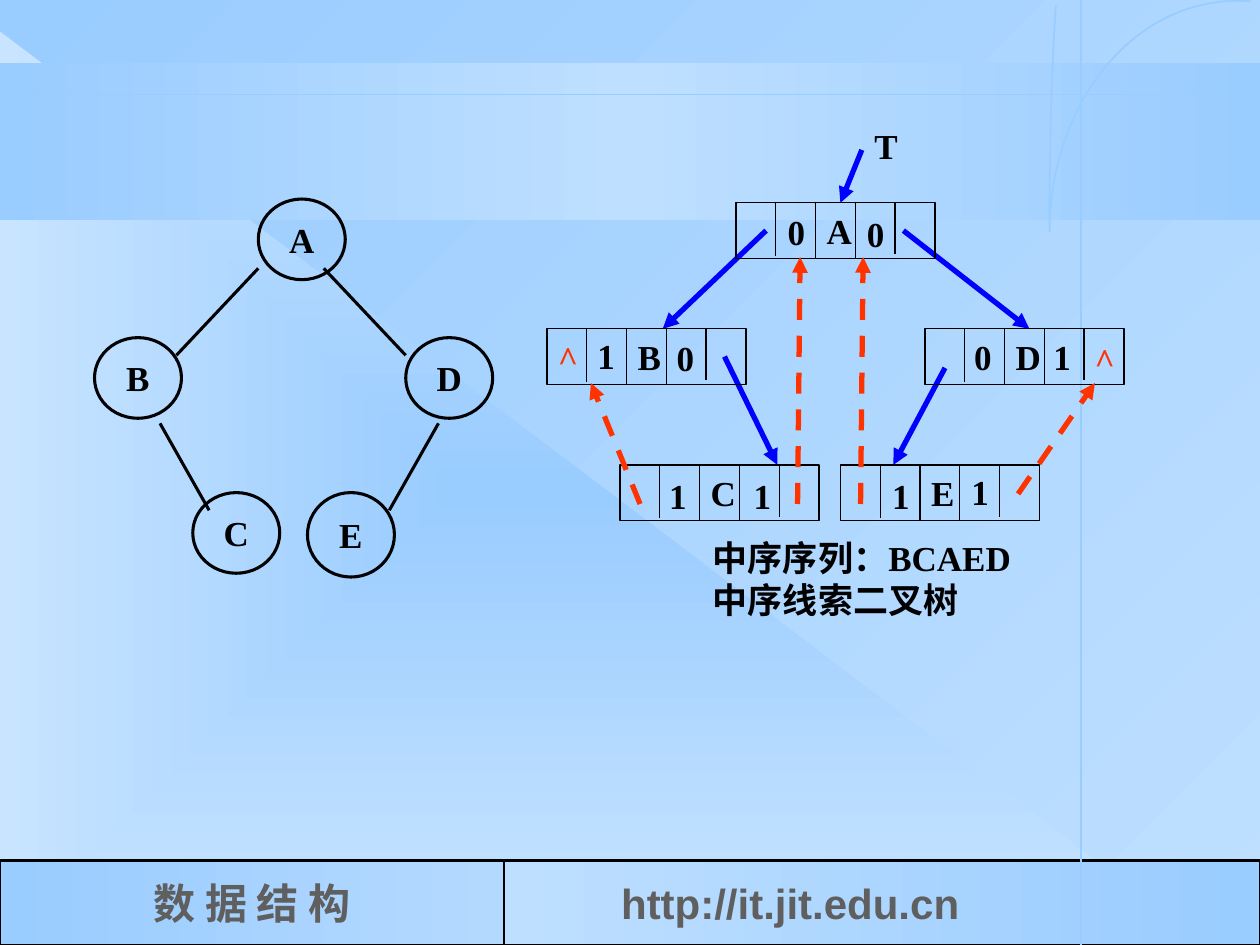
from collections import namedtuple

from lxml.etree import SubElement
from pptx import Presentation
from pptx.dml.color import RGBColor
from pptx.enum.dml import MSO_LINE
from pptx.enum.shapes import MSO_CONNECTOR, MSO_SHAPE
from pptx.enum.text import MSO_ANCHOR, PP_ALIGN
from pptx.oxml.ns import qn
from pptx.util import Inches, Pt

SKY = RGBColor(0x99, 0xCC, 0xFF)
PALE = RGBColor(0xBE, 0xDF, 0xFF)
LIGHT = RGBColor(0xB4, 0xD9, 0xFF)
ICE = RGBColor(0xC8, 0xE4, 0xFF)
BLACK = RGBColor(0, 0, 0)
GRAY = RGBColor(0x5F, 0x5F, 0x5F)
BLUE = RGBColor(0, 0, 0xFF)
RED = RGBColor(0xFF, 0x33, 0)

Box = namedtuple("Box", "left top width height")
Node = namedtuple("Node", "letter left top flags")
SERIF = {"name": "Times New Roman", "size": Pt(20), "bold": True}
FOOTER = {"size": Pt(24)}


def fill_gradient(fill, holder, colors, angle=None):
    """Fill with evenly spaced colours, along an angle or outwards from the centre."""
    fill.solid()
    solid = holder.find(qn("a:solidFill"))
    gradient = holder.makeelement(qn("a:gradFill"), {"rotWithShape": "1"})
    stops = SubElement(gradient, qn("a:gsLst"))
    for index, color in enumerate(colors):
        position = str(100000 * index // (len(colors) - 1))
        stop = SubElement(stops, qn("a:gs"), pos=position)
        SubElement(stop, qn("a:srgbClr"), val=str(color))
    if angle is None:
        shade = SubElement(gradient, qn("a:path"), path="rect")
        SubElement(shade, qn("a:fillToRect"), dict.fromkeys("ltrb", "50000"))
    else:
        SubElement(gradient, qn("a:lin"), ang=str(angle * 60000), scaled="1")
    holder.replace(solid, gradient)


def write_text(shape, lines, color=BLACK, align=PP_ALIGN.CENTER,
               anchor=MSO_ANCHOR.MIDDLE, indent=0.1, **changes):
    """Write formatted lines into a shape."""
    frame = shape.text_frame
    settings = {"word_wrap": False, "vertical_anchor": anchor, "margin_left": Inches(indent)}
    for name, value in settings.items():
        setattr(frame, name, value)
    frame.text = "\n".join(lines)
    for para in frame.paragraphs:
        para.alignment = align
        for span in para.runs:
            for name, value in {**SERIF, **changes}.items():
                setattr(span.font, name, value)
            span.font.color.rgb = color


def add_outline(shapes, kind, box, weight=None):
    """Add an unfilled preset shape with an optional black line."""
    shape = shapes.add_shape(kind, *map(Inches, box))
    shape.shadow.inherit = False
    shape.fill.background()
    if weight:
        shape.line.color.rgb = BLACK
        shape.line.width = Pt(weight)
    else:
        shape.line.fill.background()
    return shape


def add_line(shapes, box, ends, color=BLACK, weight=0.75, arrow=False, dash=None):
    """Draw a straight line between two points relative to the box."""
    x1, y1, x2, y2 = ends
    points = (box.left + x1, box.top + y1, box.left + x2, box.top + y2)
    line = shapes.add_connector(MSO_CONNECTOR.STRAIGHT, *map(Inches, points))
    line.line.color.rgb = color
    line.line.width = Pt(weight)
    if dash:
        line.line.dash_style = dash
    if arrow:
        SubElement(line.line._get_or_add_ln(), qn("a:tailEnd"), type="triangle")
    SubElement(line._element.spPr, qn("a:effectLst"))


def add_label(shapes, box, lines, **options):
    """Add a text box."""
    label = shapes.add_textbox(*map(Inches, box))
    write_text(label, lines, **options)


def trace_curve(points, stop=1, steps=24):
    """Return points along a cubic curve, up to a share of its length."""
    def locate(t):
        weights = ((1 - t) ** 3, 3 * t * (1 - t) ** 2, 3 * t * t * (1 - t), t ** 3)
        return tuple(sum(w * p[axis] for w, p in zip(weights, points)) for axis in (0, 1))
    return [locate(stop * step / steps) for step in range(steps + 1)]


def draw_backdrop(page, box):
    """Draw the shaded background, band and guide lines."""
    background = page.background.fill
    background.solid()
    fill_gradient(background, page._element.find(".//" + qn("p:bgPr")), (SKY, PALE), 45)
    panels = (
        (MSO_SHAPE.RIGHT_TRIANGLE, Box(box.left, box.top + 0.25, 9.58, 7.25), (SKY, ICE), None),
        (MSO_SHAPE.RECTANGLE, Box(box.left, box.top + 0.5, box.width, 1.25), (SKY, PALE, SKY), 0),
    )
    for kind, area, colors, angle in panels:
        shape = add_outline(page.shapes, kind, area)
        fill_gradient(shape.fill, shape._element.spPr, colors, angle)
    draw_footer(page, Box(box.left, box.top + 6.83, box.width, 0.67))
    add_line(page.shapes, box, (0, 0.75, box.width, 0.75), SKY, 1)
    add_line(page.shapes, box, (8.58, 0, 8.58, box.height), SKY, 1.5)
    arc = trace_curve(((9.93, 0.01), (9.01, -0.06), (8.33, 0.82), (8.33, 1.84)))
    rise = trace_curve(((8.33, 1.84), (8.33, -2.71), (9.01, -1.89), (9.84, -1.89)), 0.16)
    points = [(Inches(box.left + x), Inches(box.top + max(y, 0))) for x, y in arc + rise]
    builder = page.shapes.build_freeform(*points[0])
    builder.add_line_segments(points[1:], close=False)
    sweep = builder.convert_to_shape()
    sweep.shadow.inherit = False
    sweep.fill.background()
    sweep.line.color.rgb = SKY
    sweep.line.width = Pt(1)


def draw_footer(page, box):
    """Draw the two footer panels."""
    split = 4
    panels = (
        (0, split, (SKY, LIGHT), "数 据 结 构", {}),
        (split, box.width - split, (PALE, SKY), "http://it.jit.edu.cn",
         {"name": "Arial", "align": PP_ALIGN.LEFT, "indent": 0.93}),
    )
    for offset, width, colors, text, options in panels:
        area = Box(box.left + offset, box.top, width, box.height)
        panel = add_outline(page.shapes, MSO_SHAPE.RECTANGLE, area, 1.5)
        fill_gradient(panel.fill, panel._element.spPr, colors, 0)
        write_text(panel, [text], GRAY, **FOOTER, **options)


def draw_tree(page, box):
    """Draw the binary tree of circles."""
    shapes = page.shapes.add_group_shape().shapes
    circles = (("A", 1.3, 0, 0.64), ("B", 0, 1.1, 0.64), ("C", 0.78, 2.33, 0.64),
               ("D", 2.47, 1.1, 0.64), ("E", 1.69, 2.33, 0.67))
    for letter, x, y, height in circles:
        area = Box(box.left + x, box.top + y, 0.69, height)
        circle = add_outline(shapes, MSO_SHAPE.OVAL, area, 1.75)
        write_text(circle, [letter])
    branches = ((1.3, 0.55, 0.65, 1.24), (1.82, 0.55, 2.47, 1.24),
                (0.52, 1.78, 0.91, 2.47), (2.73, 1.78, 2.34, 2.47))
    for ends in branches:
        add_line(shapes, box, ends, weight=1.75)


def draw_node(shapes, box, node):
    """Draw a five-cell node with its letter and flags."""
    frame = add_outline(shapes, MSO_SHAPE.RECTANGLE, box, 0.75)
    write_text(frame, [node.letter], align=PP_ALIGN.LEFT, indent=0.72)
    for index, depth in enumerate((0.42, 0.44, 0.44, 0.41), 1):
        x = index * box.width / 5
        add_line(shapes, box, (x, 0, x, depth))
    for text, x, y in node.flags:
        area = Box(box.left + x, box.top + y, 0.34, box.height)
        add_label(shapes, area, [text], color=RED if text == "^" else BLACK)


def draw_threaded_tree(page, box):
    """Draw the threaded tree with its child links, threads and caption."""
    shapes = page.shapes.add_group_shape().shapes
    links = ((1.74, 0.22, 0.92, 1), (2.83, 0.22, 3.83, 1), (1.41, 1.22, 1.83, 2.08),
             (3.16, 1.31, 2.75, 2.08), (2.5, -0.42, 2.33, 0))
    for ends in links:
        add_line(shapes, box, ends, BLUE, 3, arrow=True)
    nodes = (
        Node("A", 1.5, 0, (("0", 0.31, 0.01), ("0", 0.94, 0.02))),
        Node("B", 0, 1, (("^", -0.01, 0.01), ("1", 0.3, -0.01), ("0", 0.93, 0.01))),
        Node("D", 3, 1, (("0", 0.29, 0), ("1", 0.92, 0), ("^", 1.25, 0.02))),
        Node("C", 0.58, 2.08, (("1", 0.29, 0.02), ("1", 0.96, 0.02))),
        Node("E", 2.33, 2.08, (("1", 0.31, 0.02), ("1", 0.94, -0.01))),
    )
    for node in nodes:
        draw_node(shapes, Box(box.left + node.left, box.top + node.top, 1.58, 0.44), node)
    threads = ((0.74, 2.39, 0.35, 1.43), (1.99, 2.39, 2.01, 0.43),
               (2.49, 2.39, 2.51, 0.43), (3.74, 2.31, 4.35, 1.43))
    for ends in threads:
        add_line(shapes, box, ends, RED, 3, arrow=True, dash=MSO_LINE.DASH)
    labels = (((2.5, -0.67, 0.38, 0.44), ["T"]),
              ((1.22, 2.6, 2.63, 0.77), ["中序序列：BCAED", "中序线索二叉树"]))
    for (x, y, width, height), lines in labels:
        area = Box(box.left + x, box.top + y, width, height)
        add_label(shapes, area, lines, align=PP_ALIGN.LEFT, anchor=MSO_ANCHOR.TOP)


def main():
    """Build and save the deck."""
    deck = Presentation()
    deck.slide_width, deck.slide_height = Inches(10), Inches(7.5)
    page = deck.slides.add_slide(deck.slide_layouts[6])
    draw_backdrop(page, Box(0, 0, 10, 7.5))
    draw_tree(page, Box(0.75, 1.58, 3.16, 3))
    draw_threaded_tree(page, Box(4.34, 1.61, 4.58, 3.37))
    deck.save("out.pptx")


if __name__ == "__main__":
    main()
